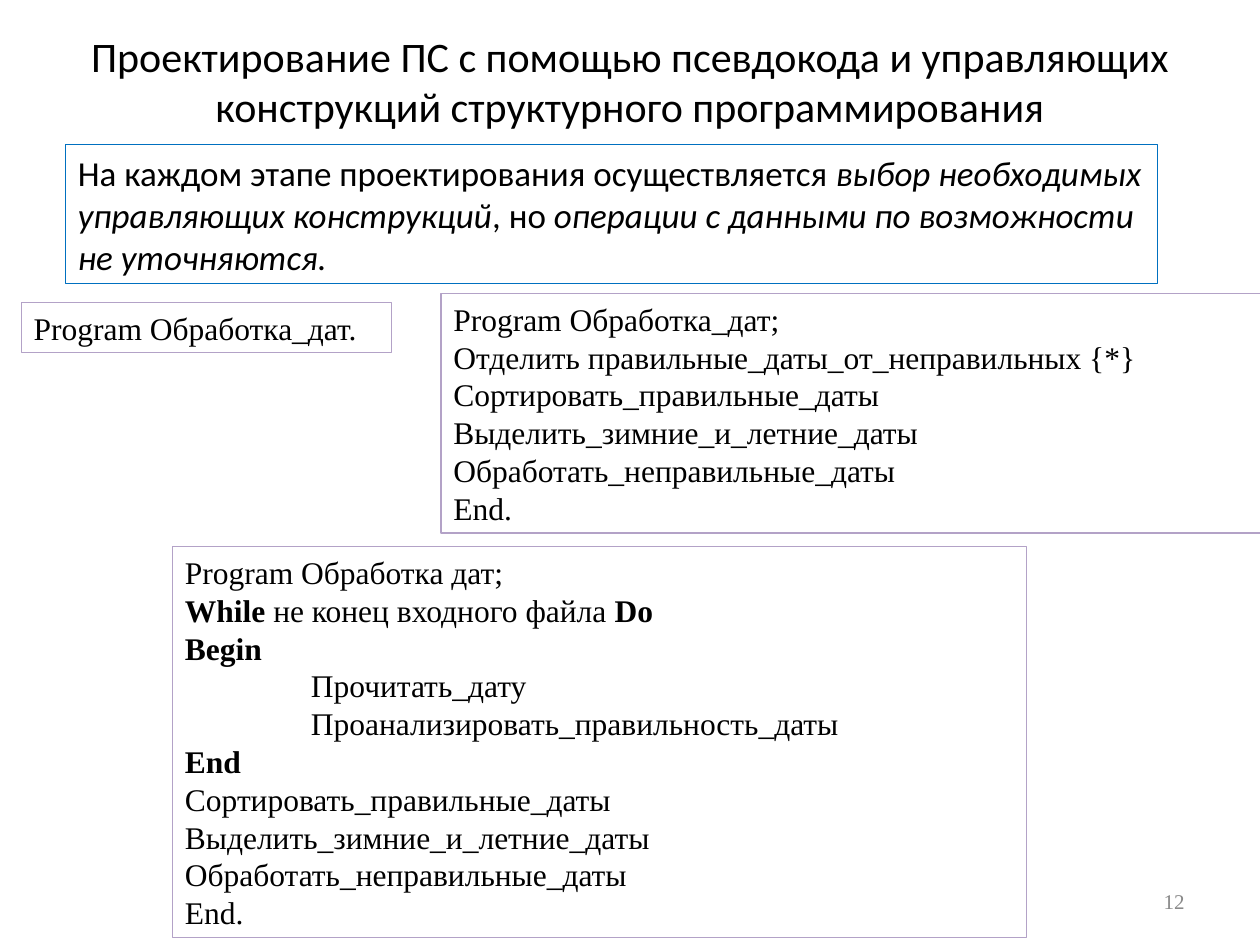
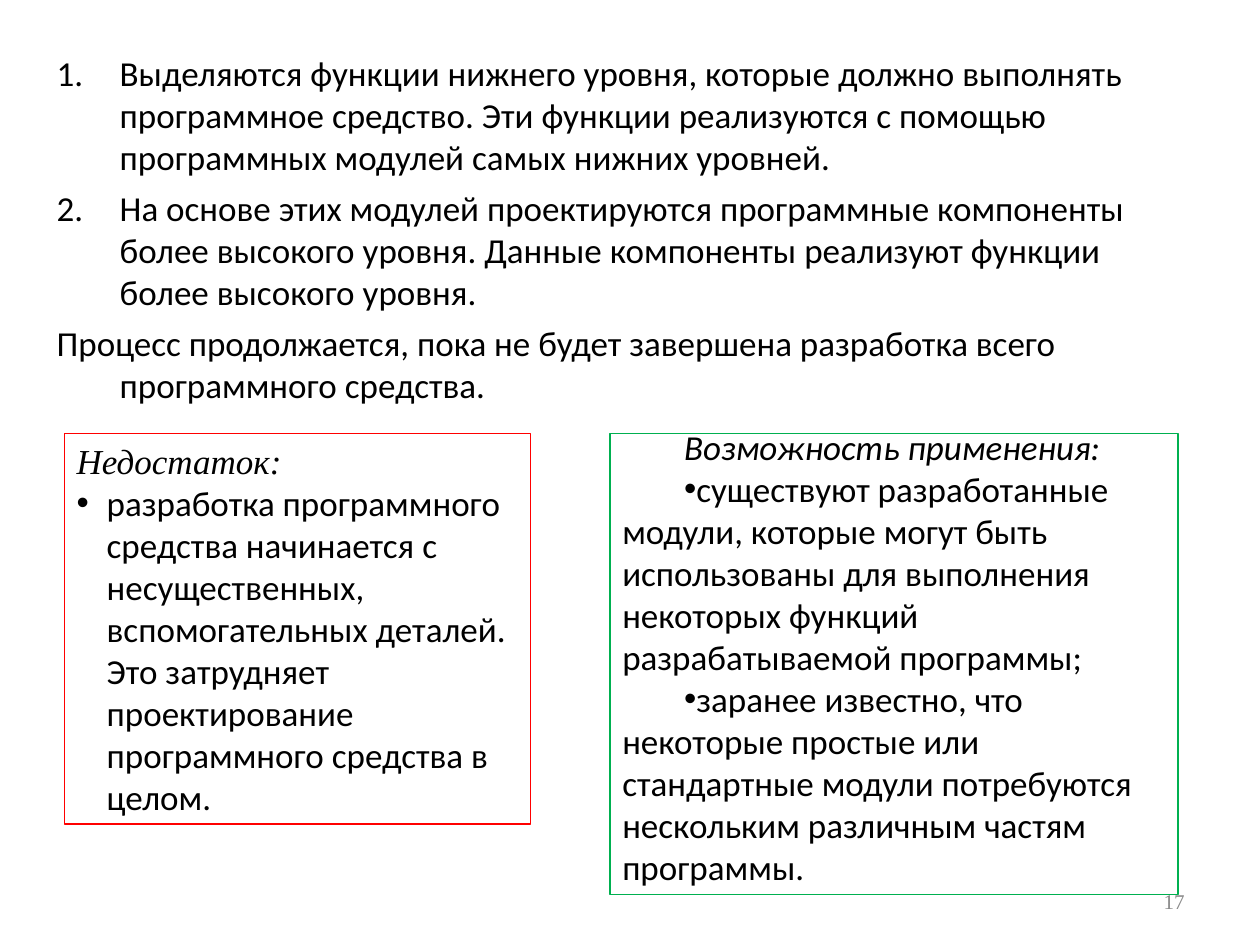
from dataclasses import dataclass
from typing import Optional, Union

from lxml import etree
from pptx import Presentation
from pptx.dml.color import RGBColor
from pptx.enum import shapes, text
from pptx.oxml import ns
from pptx.util import Pt


@dataclass(frozen=True)
class Theme:
    sans: str = "Calibri"
    serif: str = "Times New Roman"
    ink: str = "000000"
    muted: str = "898989"
    intro_line: str = "0070C0"
    code_line: str = "B3A2C7"
    drawback_line: str = "FF0000"
    usage_line: str = "00B050"
    line_width: float = 0.75
    title_size: float = 24
    body_size: float = 20
    code_size: float = 18
    number_size: float = 12


THEME = Theme()


@dataclass(frozen=True)
class Box:
    left: float
    top: float
    width: float
    height: float

    def lengths(self) -> tuple:
        return Pt(self.left), Pt(self.top), Pt(self.width), Pt(self.height)


@dataclass(frozen=True)
class Span:
    words: str
    bold: bool = False
    italic: bool = False


@dataclass(frozen=True)
class Para:
    """A paragraph; bullet is a character, "auto" for 1. 2. 3., or None."""
    content: Union[str, tuple]
    margin: float = 0
    indent: float = 0
    bullet: Optional[str] = None
    before: float = 0
    line_spacing: Optional[float] = None
    align: text.PP_ALIGN = text.PP_ALIGN.LEFT
    font: Optional[str] = None


TITLE = Box(36, 9.4, 648, 73.4)
PAGE_NUMBER = Box(516.2, 500.4, 167.8, 28.8)
BLOCK_INDENT = 72
LIST_INDENT = 36
BULLET_INDENT = 17.2
FIRST_LINE = 35.3
LIST_GAP = 5


def set_bullet(paragraph, para: Para) -> None:
    props = paragraph._p.get_or_add_pPr()
    props.set("marL", str(Pt(para.margin)))
    props.set("indent", str(Pt(para.indent)))
    if para.bullet is None:
        etree.SubElement(props, ns.qn("a:buNone"))
    elif para.bullet == "auto":
        etree.SubElement(props, ns.qn("a:buFont"), typeface="+mj-lt")
        etree.SubElement(props, ns.qn("a:buAutoNum"), type="arabicPeriod")
    else:
        etree.SubElement(props, ns.qn("a:buFont"), typeface="Arial")
        etree.SubElement(props, ns.qn("a:buChar"), char=para.bullet)


def write_text(frame, paras: list[Para], *, size: float = THEME.body_size,
               font: str = THEME.sans, color: str = THEME.ink,
               anchor: text.MSO_ANCHOR = text.MSO_ANCHOR.TOP) -> None:
    frame.word_wrap = True
    frame.auto_size = text.MSO_AUTO_SIZE.NONE
    frame.vertical_anchor = anchor
    for position, para in enumerate(paras):
        paragraph = frame.add_paragraph() if position else frame.paragraphs[0]
        set_bullet(paragraph, para)
        paragraph.alignment = para.align
        paragraph.space_before = Pt(para.before)
        if para.line_spacing:
            paragraph.line_spacing = Pt(para.line_spacing)
        spans = (Span(para.content),) if isinstance(para.content, str) else para.content
        for span in spans:
            run = paragraph.add_run()
            run.text = span.words
            run.font.name = para.font or font
            run.font.size = Pt(size)
            run.font.bold = span.bold
            run.font.italic = span.italic
            run.font.color.rgb = RGBColor.from_string(color)


def place(placeholder, box: Box) -> None:
    placeholder.left, placeholder.top, placeholder.width, placeholder.height = box.lengths()


def add_panel(slide, box: Box, line: str, paras: list[Para], **style) -> None:
    """Draw an unfilled outlined rectangle with text."""
    panel = slide.shapes.add_shape(shapes.MSO_SHAPE.RECTANGLE, *box.lengths())
    panel.shadow.inherit = False
    panel.fill.background()
    panel.line.color.rgb = RGBColor.from_string(line)
    panel.line.width = Pt(THEME.line_width)
    write_text(panel.text_frame, paras, **style)


def add_code(slide, box: Box, paras: list[Para]) -> None:
    add_panel(slide, box, THEME.code_line, paras, size=THEME.code_size, font=THEME.serif)


def add_page_number(slide, number: int) -> None:
    frame = slide.shapes.add_textbox(*PAGE_NUMBER.lengths()).text_frame
    write_text(frame, [Para(str(number), align=text.PP_ALIGN.RIGHT)],
               size=THEME.number_size, font=THEME.serif, color=THEME.muted,
               anchor=text.MSO_ANCHOR.MIDDLE)


def build_pseudocode(prs) -> None:
    slide = prs.slides.add_slide(prs.slide_layouts.get_by_name("Title Only"))
    title = slide.shapes.title
    place(title, TITLE)
    heading = ("Проектирование ПС с помощью псевдокода и управляющих "
               "конструкций структурного программирования")
    write_text(title.text_frame, [Para(heading, align=text.PP_ALIGN.CENTER)],
               size=THEME.title_size, anchor=text.MSO_ANCHOR.MIDDLE)

    add_panel(slide, Box(37.4, 82.8, 624.2, 79.2), THEME.intro_line, [Para((
        Span("На каждом этапе проектирования осуществляется"),
        Span(" выбор необходимых управляющих конструкций", italic=True),
        Span(", но"),
        Span(" операции с данными по возможности не уточняются.", italic=True),
    ))])
    add_page_number(slide, 12)

    sort_dates = "Сортировать_правильные_даты"
    closing = [Para("Выделить_зимние_и_летние_даты"),
               Para("Обработать_неправильные_даты"),
               Para("End.")]
    add_code(slide, Box(12.2, 172.8, 211.7, 28.8), [Para("Program Обработка_дат.")])
    add_code(slide, Box(252, 167.8, 487.4, 136.8), [
        Para("Program Обработка_дат;"),
        Para(f"Отделить правильные_даты_от_неправильных {{*}} {sort_dates}"),
        *closing,
    ])
    add_code(slide, Box(98.6, 312.5, 488.2, 223.2), [
        Para("Program Обработка дат;"),
        Para((Span("While", bold=True), Span(" не конец входного файла"),
              Span(" Do", bold=True))),
        Para((Span("Begin", bold=True),)),
        Para("Прочитать_дату", margin=BLOCK_INDENT),
        Para("Проанализировать_правильность_даты", margin=BLOCK_INDENT),
        Para((Span("End", bold=True),)),
        Para(sort_dates),
        *closing,
    ])


def build_bottom_up(prs) -> None:
    slide = prs.slides.add_slide(prs.slide_layouts.get_by_name("Title and Content"))
    unused_title = slide.shapes.title.element
    unused_title.getparent().remove(unused_title)

    steps = slide.placeholders[1]
    place(steps, Box(25.2, 25.9, 648, 221))
    hanging = {"margin": LIST_INDENT, "indent": -LIST_INDENT}
    write_text(steps.text_frame, [
        Para("Выделяются функции нижнего уровня, которые должно выполнять программное "
             "средство. Эти функции реализуются с помощью программных модулей самых "
             "нижних уровней.", bullet="auto", **hanging),
        Para("На основе этих модулей проектируются программные компоненты более "
             "высокого уровня. Данные компоненты реализуют функции более высокого "
             "уровня.", bullet="auto", before=LIST_GAP, **hanging),
        Para("Процесс продолжается, пока не будет завершена разработка всего "
             "программного средства.", before=LIST_GAP, **hanging),
    ])
    add_page_number(slide, 17)

    add_panel(slide, Box(36.7, 247.7, 266.4, 223.2), THEME.drawback_line, [
        Para((Span("Недостаток:", italic=True),), font=THEME.serif),
        Para("разработка программного средства начинается с несущественных, "
             "вспомогательных деталей. Это затрудняет проектирование программного "
             "средства в целом.",
             margin=BULLET_INDENT, indent=-BULLET_INDENT, bullet="•"),
    ])
    add_panel(slide, Box(348.5, 247.7, 324.7, 263.5), THEME.usage_line, [
        Para((Span("Возможность применения:", italic=True),), indent=FIRST_LINE,
             line_spacing=16.1, align=text.PP_ALIGN.JUSTIFY),
        Para("существуют разработанные модули, которые могут быть использованы для "
             "выполнения некоторых функций разрабатываемой программы;",
             indent=FIRST_LINE, bullet="•"),
        Para("заранее известно, что некоторые простые или стандартные модули "
             "потребуются нескольким различным частям программы.",
             indent=FIRST_LINE, bullet="•"),
    ])


def main() -> None:
    prs = Presentation()
    prs.slide_width, prs.slide_height = Pt(720), Pt(540)
    build_pseudocode(prs)
    build_bottom_up(prs)
    prs.save("out.pptx")


if __name__ == "__main__":
    main()
